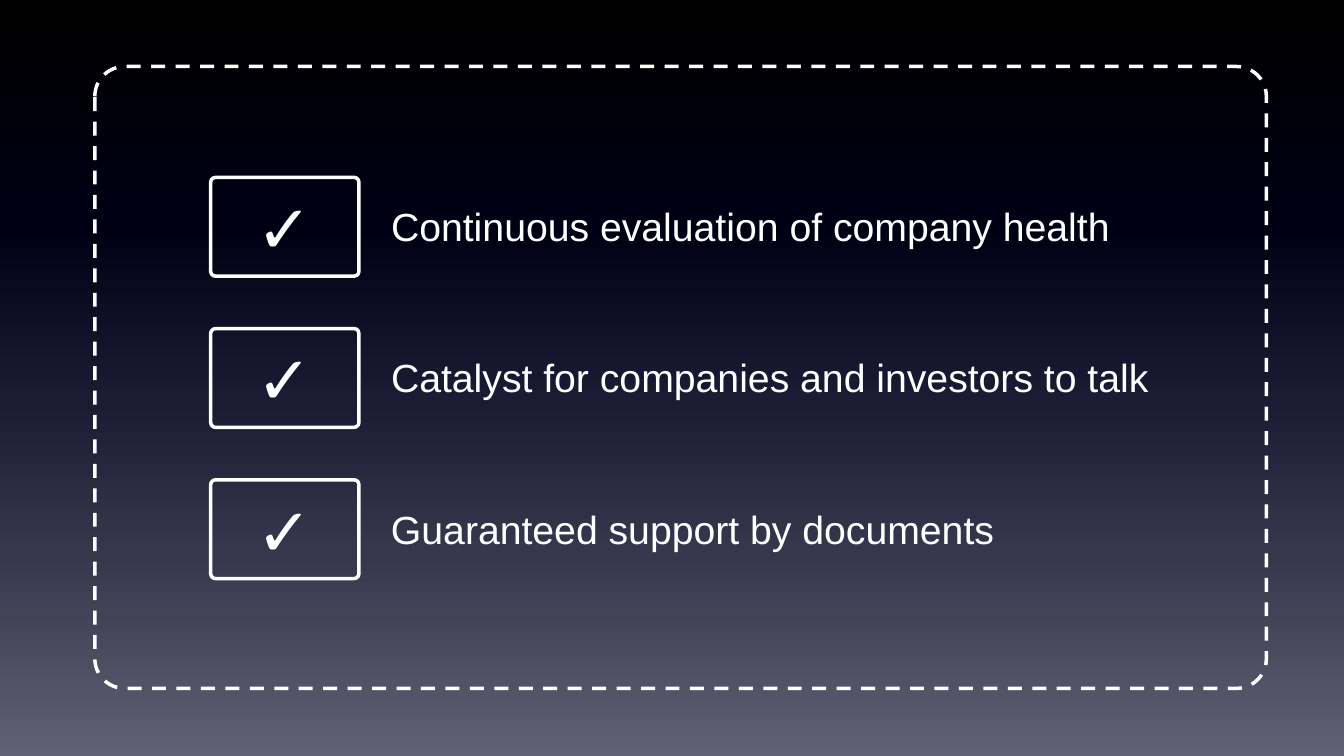
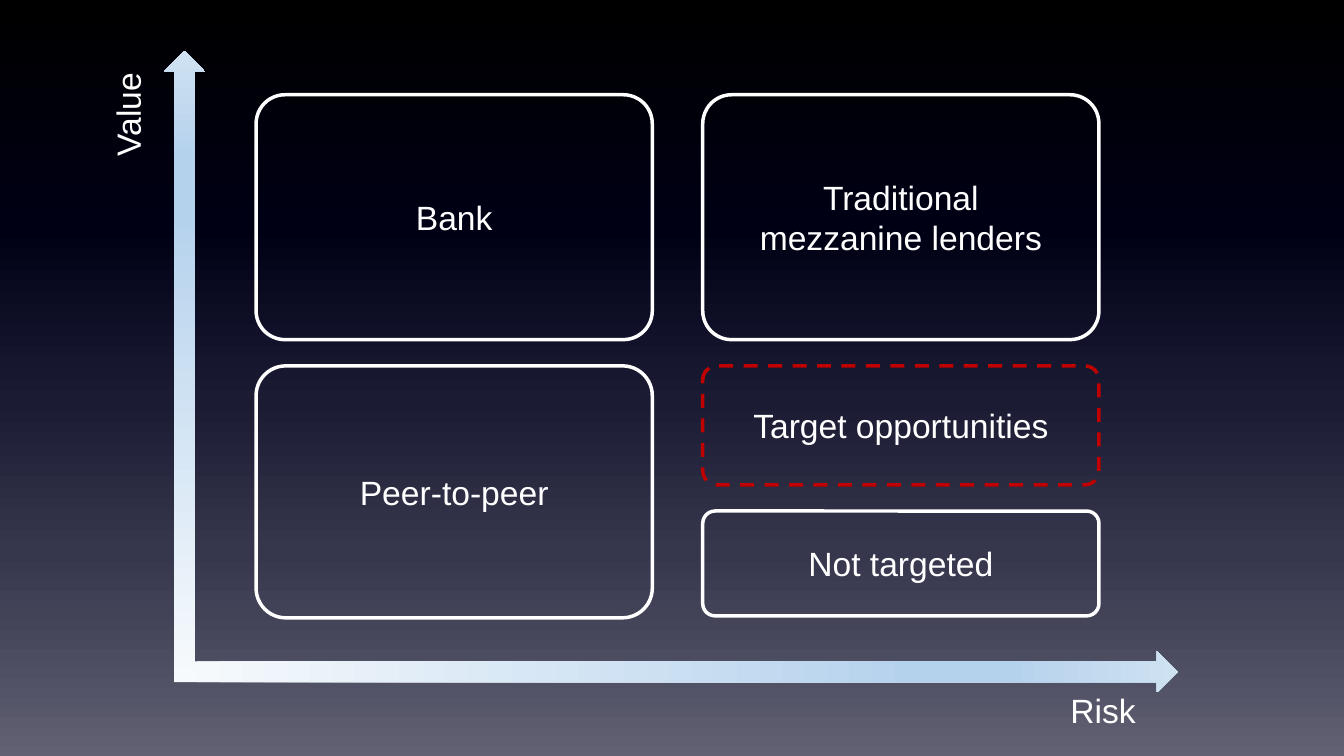
from dataclasses import dataclass
from typing import Any

from lxml import etree
from pptx import Presentation
from pptx.dml.color import RGBColor
from pptx.enum.dml import MSO_LINE
from pptx.enum.shapes import MSO_SHAPE
from pptx.enum.text import MSO_ANCHOR, MSO_AUTO_SIZE, PP_ALIGN
from pptx.oxml.ns import qn
from pptx.util import Inches, Pt

ROUNDED, ARROW = MSO_SHAPE.ROUNDED_RECTANGLE, MSO_SHAPE.RIGHT_ARROW
DASH = MSO_LINE.DASH
CENTER, LEFT = PP_ALIGN.CENTER, PP_ALIGN.LEFT
MIDDLE, TOP = MSO_ANCHOR.MIDDLE, MSO_ANCHOR.TOP
FIT_SHAPE = MSO_AUTO_SIZE.SHAPE_TO_FIT_TEXT

# Shared style
SLIDE_W, SLIDE_H = 13.33, 7.5
FONT = "Arial"
COLORS = {"white": "FFFFFF", "target": "C00000"}
NIGHT = [(0, "000000"), (30, "000015"), (53, "1B1B34"), (73, "36364D"), (100, "616173")]
ICE = [(0, "F7FAFD"), (74, "B5D2EC"), (83, "B5D2EC"), (100, "CEE1F2")]
OUTLINE_PT = 2.5
TIGHT, SOFT = 0.048, 0.118  # corner roundness


@dataclass(frozen=True)
class Box:
    left: float
    top: float
    width: float
    height: float

    def emu(self) -> list[int]:
        return [Inches(v) for v in (self.left, self.top, self.width, self.height)]


@dataclass(frozen=True)
class Benefit:
    text: str
    width: float


@dataclass(frozen=True)
class Lender:
    text: str
    height: float
    color: str = "white"
    dashed: bool = False


@dataclass(frozen=True)
class Axis:
    name: str
    arrow: Box
    label: Box
    rotation: int


# Checklist content
FRAME = Box(0.94, 0.66, 11.62, 6.17)
BENEFITS = [
    Benefit("Continuous evaluation of company health", 7.49),
    Benefit("Catalyst for companies and investors to talk", 7.92),
    Benefit("Guaranteed support by documents", 6.36),
]
BENEFIT_TOP, BENEFIT_PITCH = 1.76, 1.5

# Market map content: one list of lenders for each column
LENDER_COLUMNS = [
    [Lender("Bank", 2.43), Lender("Peer-to-peer", 2.5)],
    [
        Lender("Traditional\vmezzanine lenders", 2.43),
        Lender("Target opportunities", 1.18, "target", True),
        Lender("Not targeted", 1.04),
    ],
]
MAP_LEFT, MAP_TOP = 2.54, 0.94
CARD_W, COLUMN_GAP, ROW_GAP = 3.93, 0.5, 0.26
AXES = [
    Axis("Risk", Box(1.73, 6.46, 9.95, 0.41), Box(10.01, 6.46, 1.86, 1.16), 0),
    Axis("Value", Box(-1.3, 3.43, 6.26, 0.41), Box(0.46, 0.51, 1.61, 1.25), 270),
]


def fill_gradient(fill: Any, element: Any, stops: list[tuple[int, str]], angle: int) -> None:
    """Fill with the stops; the angle runs counter-clockwise."""
    fill.gradient()
    fill.gradient_angle = angle
    stop_list = element.find(".//" + qn("a:gsLst"))
    for old_stop in list(stop_list):
        stop_list.remove(old_stop)
    for percent, color in stops:
        stop = etree.SubElement(stop_list, qn("a:gs"), pos=str(percent * 1000))
        etree.SubElement(stop, qn("a:srgbClr"), val=color)


def write(shape: Any, text: str, *, size: int = 24, bold: bool = False,
          align: Any = CENTER, anchor: Any = MIDDLE, wrap: bool = True) -> None:
    frame = shape.text_frame
    frame.word_wrap = wrap
    frame.vertical_anchor = anchor
    paragraph = frame.paragraphs[0]
    paragraph.text = text
    paragraph.alignment = align
    for run in paragraph.runs:
        run.font.name = FONT
        run.font.size = Pt(size)
        run.font.bold = bold
        run.font.color.rgb = RGBColor.from_string(COLORS["white"])


def add_rounded(shapes: Any, box: Box, roundness: float, *,
                color: str | None = "white", dashed: bool = False) -> Any:
    """Add an unfilled rounded box; no color means no outline."""
    rounded = shapes.add_shape(ROUNDED, *box.emu())
    rounded.adjustments[0] = roundness
    rounded.shadow.inherit = False
    rounded.fill.background()
    if color is None:
        rounded.line.fill.background()
        return rounded
    rounded.line.color.rgb = RGBColor.from_string(COLORS[color])
    rounded.line.width = Pt(OUTLINE_PT)
    if dashed:
        rounded.line.dash_style = DASH
    return rounded


def add_benefit(shapes: Any, benefit: Benefit, top: float) -> None:
    row = shapes.add_group_shape().shapes
    check = add_rounded(row, Box(2.09, top, 1.47, 0.98), TIGHT)
    write(check, "✓", size=48, bold=True)
    caption = row.add_textbox(*Box(3.78, top + 0.2, benefit.width, 0.57).emu())
    write(caption, benefit.text, size=28, align=LEFT, anchor=TOP, wrap=False)
    caption.text_frame.auto_size = FIT_SHAPE


def add_axis(shapes: Any, axis: Axis) -> None:
    arrow = shapes.add_shape(ARROW, *axis.arrow.emu())
    arrow.shadow.inherit = False
    arrow.line.fill.background()
    fill_gradient(arrow.fill, arrow.element, ICE, 0)
    label = add_rounded(shapes, axis.label, SOFT, color=None)
    write(label, axis.name)
    arrow.rotation = label.rotation = axis.rotation


def build_checklist(shapes: Any) -> None:
    add_rounded(shapes, FRAME, TIGHT, dashed=True)
    for row, benefit in enumerate(BENEFITS):
        add_benefit(shapes, benefit, BENEFIT_TOP + row * BENEFIT_PITCH)


def build_market_map(shapes: Any) -> None:
    for column, lenders in enumerate(LENDER_COLUMNS):
        left, top = MAP_LEFT + column * (CARD_W + COLUMN_GAP), MAP_TOP
        for lender in lenders:
            card = add_rounded(shapes, Box(left, top, CARD_W, lender.height), SOFT,
                               color=lender.color, dashed=lender.dashed)
            write(card, lender.text)
            top += lender.height + ROW_GAP
    for axis in AXES:
        add_axis(shapes, axis)


def main() -> None:
    prs = Presentation()
    prs.slide_width, prs.slide_height = Inches(SLIDE_W), Inches(SLIDE_H)
    master = prs.slide_master
    fill_gradient(master.background.fill, master.element, NIGHT, 270)
    blank = prs.slide_layouts[6]
    for build in (build_checklist, build_market_map):
        build(prs.slides.add_slide(blank).shapes)
    prs.save("out.pptx")


if __name__ == "__main__":
    main()
